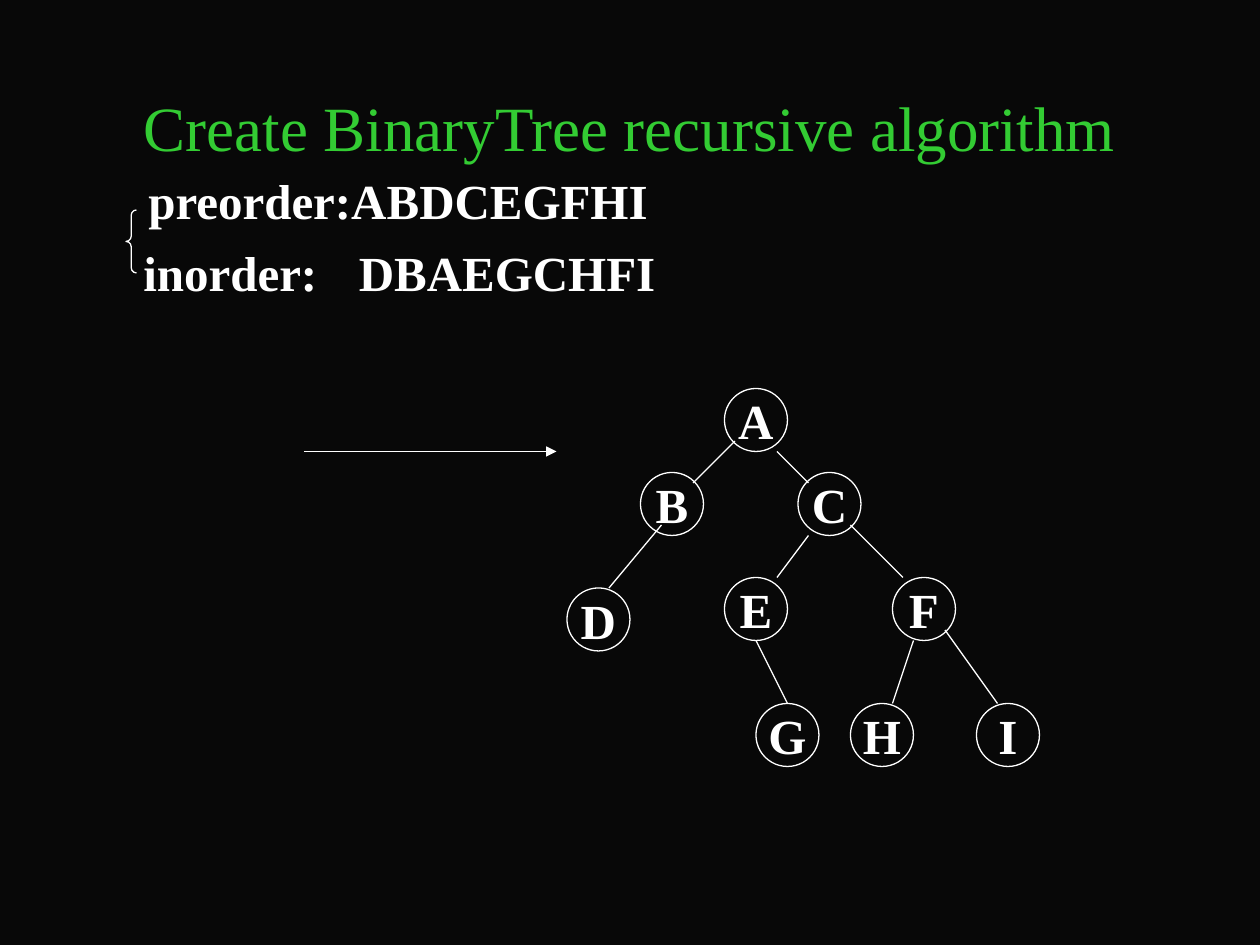
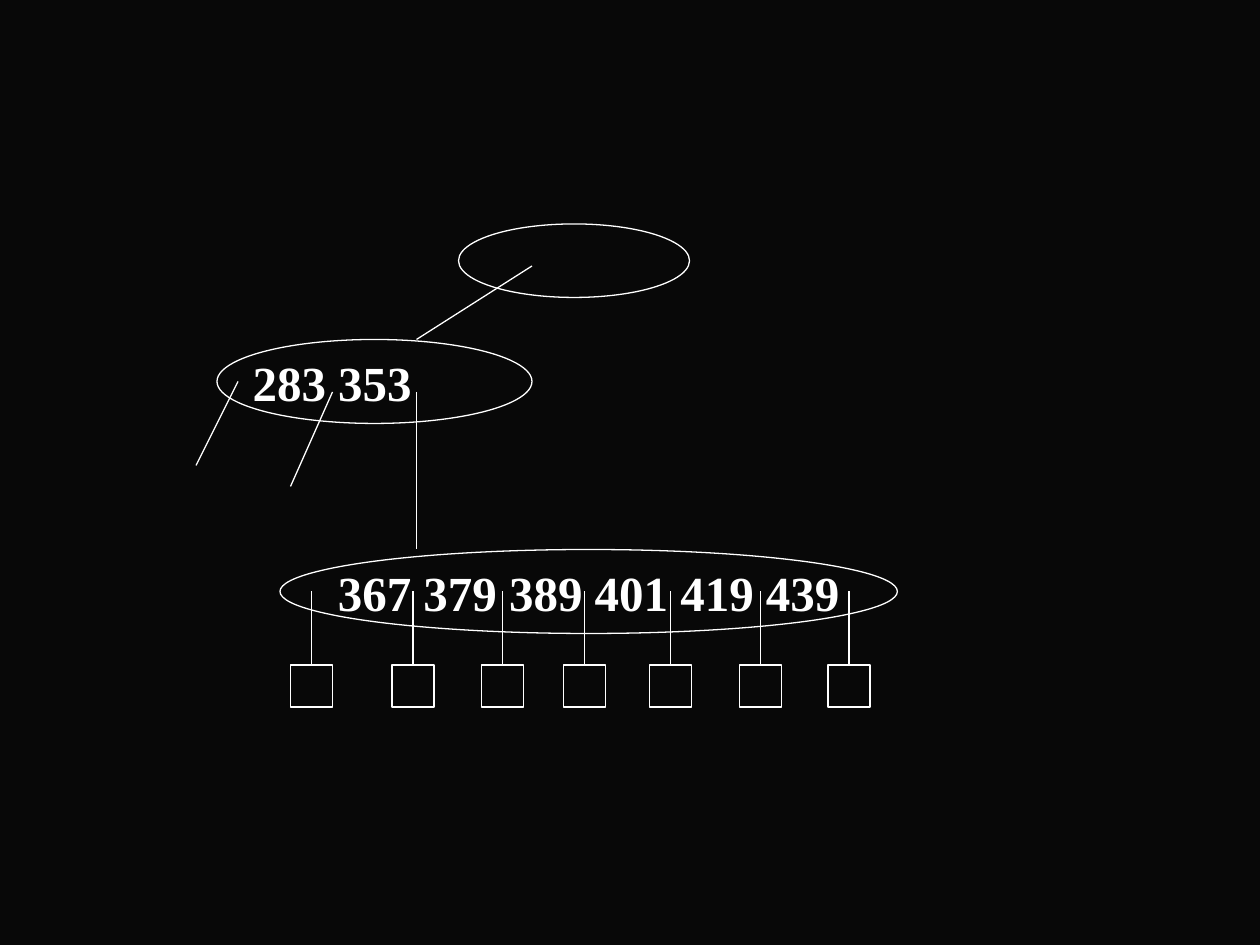
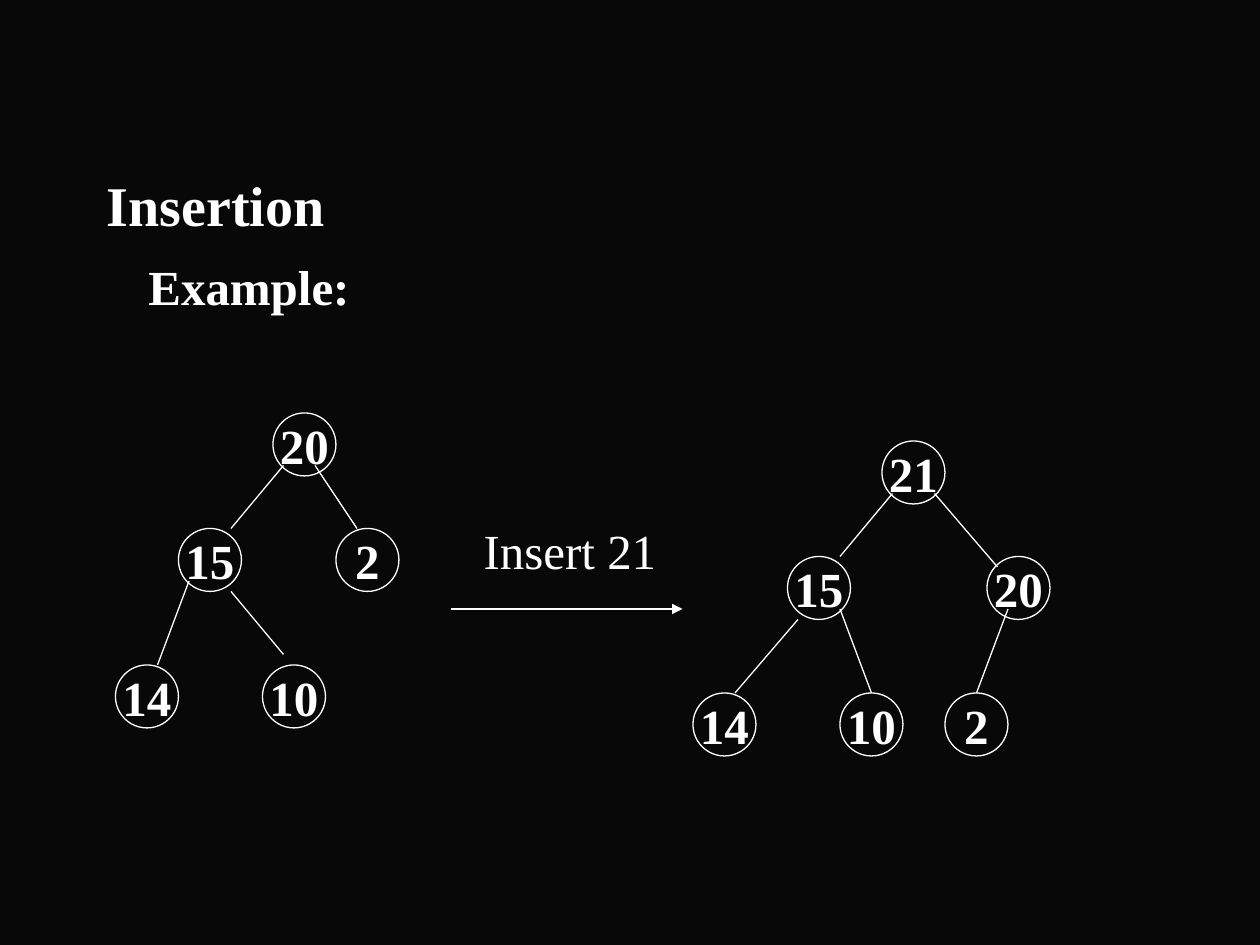
from dataclasses import dataclass

from lxml.etree import SubElement
from pptx import Presentation
from pptx.dml.color import RGBColor
from pptx.enum.shapes import MSO_CONNECTOR, MSO_SHAPE
from pptx.enum.text import MSO_ANCHOR, PP_ALIGN
from pptx.oxml.ns import qn
from pptx.util import Inches, Pt


@dataclass(frozen=True)
class Theme:
    background: RGBColor = RGBColor(0x08, 0x08, 0x08)
    ink: RGBColor = RGBColor(0xFF, 0xFF, 0xFF)
    title: RGBColor = RGBColor(0x33, 0xCC, 0x33)
    font: str = "Times New Roman"
    title_size: int = 36
    heading_size: int = 32
    text_size: int = 28
    stroke: float = 0.75


THEME = Theme()
CELLS_PER_INCH = 12   # the slide is a grid of 120 columns by 90 rows
NODE = 6              # diameter of a tree node, in cells
LEAF = 4              # side of a leaf square, in cells


def cells(count):
    return Inches(count / CELLS_PER_INCH)


def area(column, row, width, height):
    return [cells(value) for value in (column, row, width, height)]


def add_page(deck):
    page = deck.slides.add_slide(deck.slide_layouts[6])
    page.background.fill.solid()
    page.background.fill.fore_color.rgb = THEME.background
    return page


# Text
def style(para, size=THEME.text_size, bold=True, color=THEME.ink):
    for span in para.runs:
        span.font.name = THEME.font
        span.font.size = Pt(size)
        span.font.bold = bold
        span.font.color.rgb = color


def add_box(page, place):
    box = page.shapes.add_textbox(*area(*place))
    box.text_frame.word_wrap = True
    return box.text_frame


def indent_first_line(para, indent, tab=None):
    properties = para._p.get_or_add_pPr()
    properties.set("marL", "0")
    properties.set("indent", str(Inches(indent)))
    if tab:
        stops = SubElement(properties, qn("a:tabLst"))
        SubElement(stops, qn("a:tab"), pos=str(Inches(tab)), algn="l")


def add_title(page, text):
    frame = add_box(page, (9, 8, 102, 8))
    frame.vertical_anchor = MSO_ANCHOR.MIDDLE
    para = frame.paragraphs[0]
    para.text = text
    para.alignment = PP_ALIGN.CENTER
    style(para, THEME.title_size, False, THEME.title)


# Shapes and lines
def add_outline(page, kind, place):
    shape = page.shapes.add_shape(kind, *area(*place))
    shape.shadow.inherit = False
    shape.fill.background()
    shape.line.color.rgb = THEME.ink
    shape.line.width = Pt(THEME.stroke)
    return shape


def add_oval(page, place, text="", right_margin=0.1):
    oval = add_outline(page, MSO_SHAPE.OVAL, place)
    if text:
        frame = oval.text_frame
        frame.word_wrap = False
        frame.vertical_anchor = MSO_ANCHOR.MIDDLE
        frame.margin_right = Inches(right_margin)
        para = frame.paragraphs[0]
        para.text = text
        para.alignment = PP_ALIGN.CENTER
        style(para)


def add_line(page, start, end, arrow=False):
    ends = [cells(value) for value in (*start, *end)]
    line = page.shapes.add_connector(MSO_CONNECTOR.STRAIGHT, *ends)
    line.line.color.rgb = THEME.ink
    line.line.width = Pt(THEME.stroke)
    if arrow:
        SubElement(line.line._get_or_add_ln(), qn("a:tailEnd"), type="triangle")
    SubElement(line._element.spPr, qn("a:effectLst"))
    return line


def add_tree(page, nodes, edges, top=0):
    for label, column, row in nodes:
        add_oval(page, (column, top + row, NODE, NODE), label)
    for x1, y1, x2, y2 in edges:
        add_line(page, (x1, top + y1), (x2, top + y2))


# Slides
def build_traversal_page(deck):
    page = add_page(deck)
    add_title(page, "Create BinaryTree recursive algorithm")

    frame = add_box(page, (9, 15, 102, 66))
    frame.margin_top = Inches(0.1)
    frame.text = "preorder:ABDCEGFHI\ninorder:\tDBAEGCHFI"
    preorder, inorder = frame.paragraphs
    indent_first_line(preorder, 0.33)
    inorder.space_before = Pt(8)
    indent_first_line(inorder, 0.29, tab=1.86)
    for para in frame.paragraphs:
        style(para)

    nodes = [("A", 69, 37), ("B", 61, 45), ("C", 76, 45), ("D", 54, 56), ("E", 69, 55),
             ("F", 85, 55), ("I", 93, 67), ("H", 81, 67), ("G", 72, 67)]
    edges = [(70, 42, 66, 46), (63, 50, 58, 56), (74, 43, 77, 46), (77, 51, 74, 55),
             (81, 50, 86, 55), (72, 61, 75, 67), (87, 61, 85, 67), (90, 60, 95, 67)]
    add_tree(page, nodes, edges)
    add_line(page, (29, 43), (53, 43), arrow=True)
    brace = add_outline(page, MSO_SHAPE.LEFT_BRACE, (12, 20, 1, 6))
    brace.adjustments[0] = 0.5


def build_search_tree_page(deck):
    page = add_page(deck)
    left, top = -0.33, 0.33

    # Index nodes
    add_oval(page, (left + 44, top + 21, 22, 7))
    add_oval(page, (left + 21, top + 32, 30, 8), "283 353", right_margin=0.77)
    add_oval(page, (left + 27, top + 52, 58.8, 8), "367 379 389 401 419 439")
    for x1, y1, x2, y2 in [(51, 25, 40, 32), (23, 36, 19, 44),
                           (32, 37, 28, 46), (40, 37, 40, 52)]:
        add_line(page, (left + x1, top + y1), (left + x2, top + y2))

    # Leaves, one under each gap between keys
    for center in (29.67, 39.33, 47.85, 55.67, 63.87, 72.4, 80.87):
        leaf = add_outline(page, MSO_SHAPE.RECTANGLE,
                           (center - LEAF / 2, top + 63, LEAF, LEAF))
        stem = add_line(page, (center, top + 56), (center, top + 63))
        stem.end_connect(leaf, 0)


def build_insertion_page(deck):
    page = add_page(deck)
    frame = add_box(page, (9, 15.67, 102, 54))
    frame.text = "Insertion\nExample:"
    heading, example = frame.paragraphs
    style(heading, THEME.heading_size)
    example.space_before = Pt(10.6)
    indent_first_line(example, 0.33)
    style(example)

    # Before
    nodes = [("20", 26, 0), ("15", 17, 11), ("2", 32, 11), ("14", 11, 24), ("10", 25, 24)]
    edges = [(27, 5, 22, 11), (30, 5, 34, 11), (18, 16, 15, 24), (22, 17, 27, 23)]
    add_tree(page, nodes, edges, top=39.33)

    # After
    nodes = [("2", 90, 24), ("10", 80, 24), ("14", 66, 24),
             ("20", 94, 11), ("21", 84, 0), ("15", 75, 11)]
    edges = [(85, 5, 80, 11), (76, 17, 70, 24), (89, 5, 95, 12),
             (80, 16, 83, 24), (96, 16, 93, 24)]
    add_tree(page, nodes, edges, top=42)

    # Step between the trees
    add_line(page, (43, 58), (65, 58), arrow=True)
    frame = add_box(page, (39, 49, 26, 6.8))
    frame.text = "Insert 21"
    indent_first_line(frame.paragraphs[0], 0.49)
    style(frame.paragraphs[0], bold=False)


def main():
    deck = Presentation()
    deck.slide_width, deck.slide_height = cells(120), cells(90)
    build_traversal_page(deck)
    build_search_tree_page(deck)
    build_insertion_page(deck)
    deck.save("out.pptx")


if __name__ == "__main__":
    main()
